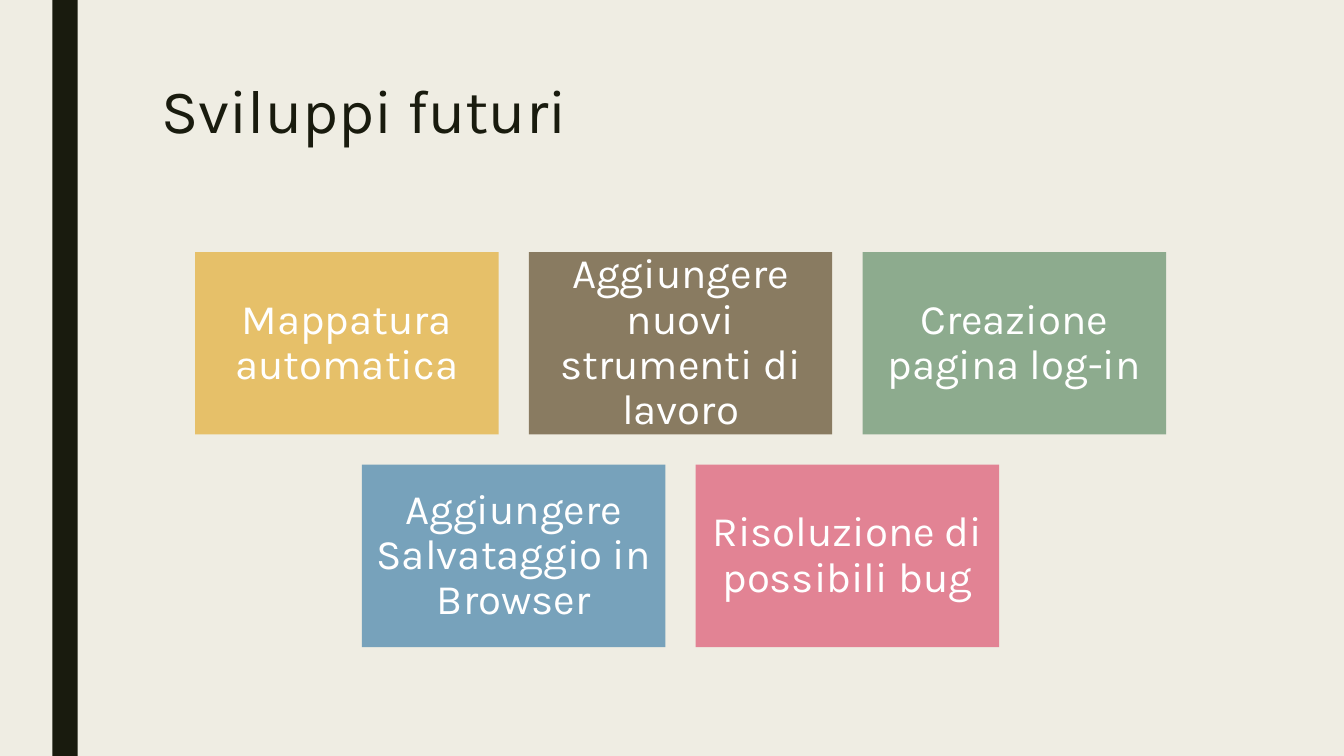
from dataclasses import dataclass

from pptx import Presentation
from pptx.dml.color import RGBColor
from pptx.enum.shapes import MSO_SHAPE
from pptx.enum.text import MSO_ANCHOR, MSO_AUTO_SIZE, PP_ALIGN
from pptx.util import Inches, Pt

# Content
TITLE = "Sviluppi futuri"
CARD_ROWS = [
    [
        ("Mappatura automatica", "E6C069"),
        ("Aggiungere nuovi strumenti di lavoro", "897B61"),
        ("Creazione pagina log-in", "8DAB8E"),
    ],
    [
        ("Aggiungere Salvataggio in Browser", "77A2BB"),
        ("Risoluzione di possibili bug", "E28394"),
    ],
]


@dataclass(frozen=True)
class Theme:
    font: str = "Karla"
    background: str = "EFEDE3"
    dark: str = "191B0E"
    light: str = "FFFFFF"
    title_size: int = 44
    card_size: int = 30


THEME = Theme()

# Layout in inches
SLIDE_WIDTH, SLIDE_HEIGHT = 13.33, 7.5
BAR = (0.52, 0, 0.25, SLIDE_HEIGHT)
TITLE_AREA = (1.5, 0.75, 10.5, 1.62)
GRID_CENTRE, GRID_TOP = 6.75, 2.5
CARD_WIDTH, CARD_HEIGHT, GAP = 3.01, 1.81, 0.3
CARD_INSET = 0.12


def apply(target, values):
    for name, value in values.items():
        setattr(target, name, value)


def write(shape, text, size, color, frame_format, para_format):
    frame = shape.text_frame
    apply(frame, {"word_wrap": True, "auto_size": MSO_AUTO_SIZE.NONE, **frame_format})
    para = frame.paragraphs[0]
    apply(para, para_format)
    span = para.add_run()
    span.text = text
    apply(span.font, {"name": THEME.font, "size": Pt(size)})
    span.font.color.rgb = RGBColor.from_string(color)


def add_block(page, area, color):
    block = page.shapes.add_shape(MSO_SHAPE.RECTANGLE, *map(Inches, area))
    block.shadow.inherit = False
    block.fill.solid()
    block.fill.fore_color.rgb = RGBColor.from_string(color)
    block.line.fill.background()
    return block


def add_title(page):
    title = page.shapes.title
    places = map(Inches, TITLE_AREA)
    apply(title, dict(zip(("left", "top", "width", "height"), places)))
    write(title, TITLE, THEME.title_size, THEME.dark,
          {"vertical_anchor": MSO_ANCHOR.TOP},
          {"alignment": PP_ALIGN.LEFT, "line_spacing": 0.89})


def add_cards(page):
    inset = Inches(CARD_INSET)
    sides = ("margin_left", "margin_top", "margin_right", "margin_bottom")
    frame_format = {"vertical_anchor": MSO_ANCHOR.MIDDLE, **dict.fromkeys(sides, inset)}
    para_format = {"alignment": PP_ALIGN.CENTER, "line_spacing": 0.9}

    # Each row is centred on the same axis
    for row, cards in enumerate(CARD_ROWS):
        row_width = len(cards) * (CARD_WIDTH + GAP) - GAP
        top = GRID_TOP + row * (CARD_HEIGHT + GAP)
        for column, (text, color) in enumerate(cards):
            left = GRID_CENTRE - row_width / 2 + column * (CARD_WIDTH + GAP)
            box = add_block(page, (left, top, CARD_WIDTH, CARD_HEIGHT), color)
            write(box, text, THEME.card_size, THEME.light, frame_format, para_format)


def main():
    deck = Presentation()
    apply(deck, {"slide_width": Inches(SLIDE_WIDTH), "slide_height": Inches(SLIDE_HEIGHT)})
    page = deck.slides.add_slide(deck.slide_layouts[5])
    page.background.fill.solid()
    page.background.fill.fore_color.rgb = RGBColor.from_string(THEME.background)

    add_block(page, BAR, THEME.dark)
    add_title(page)
    add_cards(page)
    deck.save("out.pptx")


if __name__ == "__main__":
    main()
